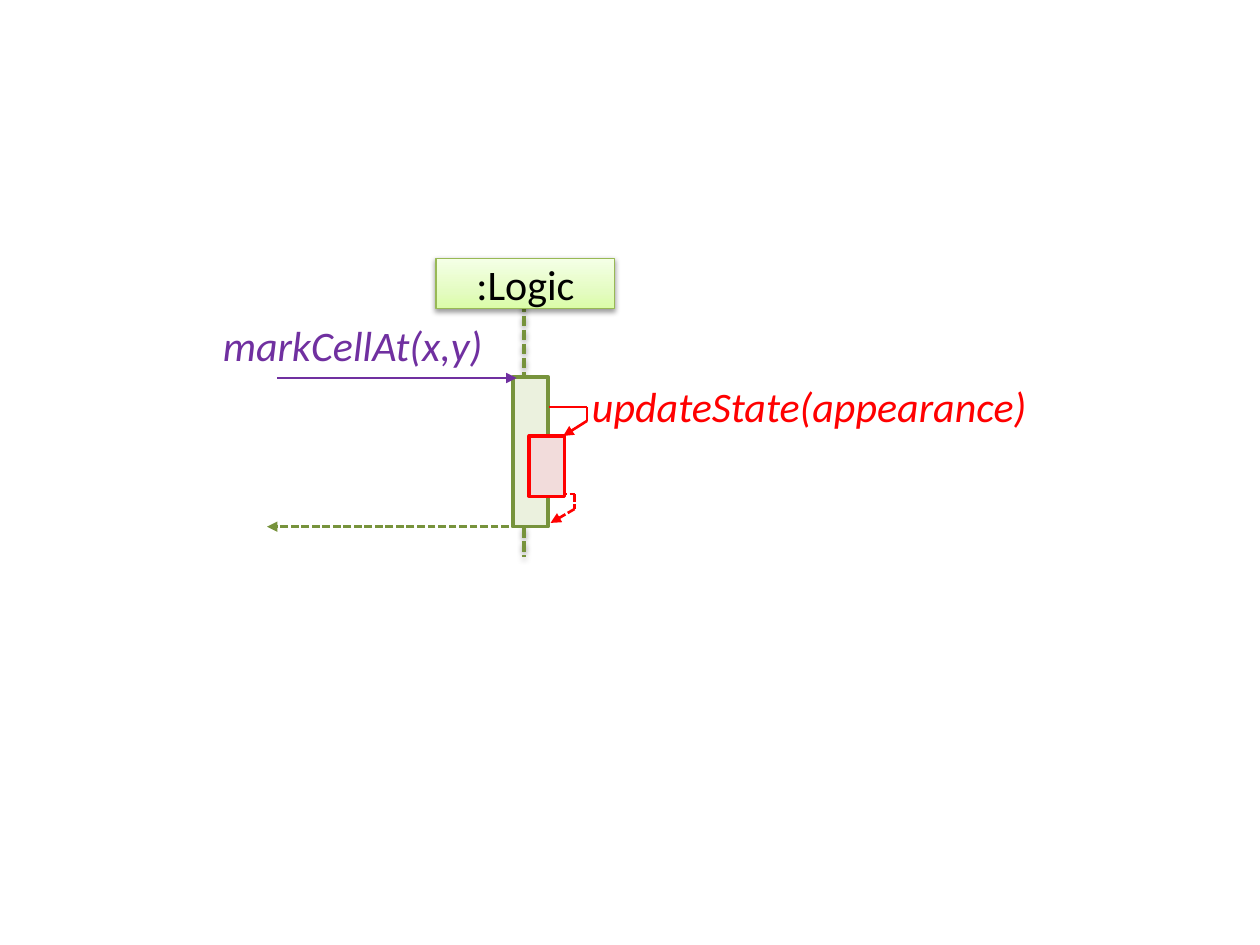
import pptx
import pptx.dml.color
import pptx.enum.dml
import pptx.enum.shapes
import pptx.enum.text
import pptx.oxml
import pptx.oxml.ns
import pptx.util
from pptx.util import Inches

THEME = {
    "font": "Calibri", "size": 24, "thin": 0.75, "line": 1.5, "thick": 2,
    "black": "000000", "green": "77933C", "pale green": "EBF1DE",
    "purple": "7030A0", "red": "FF0000", "pale red": "F2DCDB",
    "head edge": "98B955",
    "head gradient": [(0, "DAFDA7"), (35, "E4FCC2"), (100, "F5FFE7")],
}

# Content: places are left, top, width, height; paths are points in inches
HEAD = (":Logic", (3.46, 2.05, 1.42, 0.4))
LIFELINE = [(4.16, 2.17), (4.16, 4.42)]
RETURN = [(4.04, 4.18), (2.12, 4.18)]
CALL = [(2.2, 3), (4.1, 3)]
ACTIVATION = (4.07, 2.99, 0.28, 1.19)
NESTED_ACTIVATION = (4.2, 3.46, 0.28, 0.48)
CALL_LABEL = ("markCellAt(x,y)", (1.67, 2.49, 2.32, 0.5), "purple")
SELF_CALL_LABEL = ("updateState(appearance)", (4.6, 2.97, 4.13, 0.5), "red")
SELF_CALL = [(4.36, 3.23), (4.66, 3.23), (4.66, 3.34), (4.47, 3.46)]
SELF_RETURN = [(4.27, 3.92), (4.56, 3.92), (4.56, 4.04), (4.37, 4.15)]


def color(name):
    return pptx.dml.color.RGBColor.from_string(THEME[name])


def add_xml(parent, body):
    element = pptx.oxml.parse_xml(body.replace(
        ">", f" {pptx.oxml.ns.nsdecls('a')}>", 1) if "/>" not in body.split(">")[0] + ">"
        else body.replace("/>", f" {pptx.oxml.ns.nsdecls('a')}/>", 1))
    parent.append(element)
    return element


def set_effects(shape, shadow):
    """Give the shape a soft shadow below it, or none."""
    properties = shape._element.spPr
    for old in properties.findall(pptx.oxml.ns.qn("a:effectLst")):
        properties.remove(old)
    effects = add_xml(properties, "<a:effectLst/>")
    if shadow:
        add_xml(effects, '<a:outerShdw blurRad="39370" dist="20320" dir="5400000" '
                'rotWithShape="0"><a:srgbClr val="000000"><a:alpha val="38000"/>'
                '</a:srgbClr></a:outerShdw>')


def add_line(shapes, start, end, tint, width="line", dashed=False, arrow=False, shadow=False):
    line = shapes.add_connector(pptx.enum.shapes.MSO_CONNECTOR.STRAIGHT,
                                *(Inches(value) for value in (*start, *end)))
    line.line.color.rgb = color(tint)
    line.line.width = pptx.util.Pt(THEME[width])
    if dashed:
        # SQUARE_DOT is the enum name for the sysDash-like family; set it exactly
        add_xml(line.line._get_or_add_ln(), '<a:prstDash val="sysDash"/>')
    if arrow:
        add_xml(line.line._get_or_add_ln(), '<a:tailEnd type="triangle"/>')
    set_effects(line, shadow)


def add_loop(page, points, dashed=False):
    """Draw a self message as grouped lines, the last with an arrowhead."""
    group = page.shapes.add_group_shape()
    legs = list(zip(points, points[1:]))
    for leg in legs:
        add_line(group.shapes, *leg, "red", dashed=dashed, arrow=leg == legs[-1])


def add_box(page, place, edge, fill=None, width="thick", shadow=False):
    box = page.shapes.add_shape(pptx.enum.shapes.MSO_SHAPE.RECTANGLE, *map(Inches, place))
    box.shadow.inherit = False
    if fill:
        box.fill.solid()
        box.fill.fore_color.rgb = color(fill)
    box.line.color.rgb = color(edge)
    box.line.width = pptx.util.Pt(THEME[width])
    set_effects(box, shadow)
    return box


def write(shape, text, tint, italic=False):
    shape.text_frame.text = text
    span = shape.text_frame.paragraphs[0].runs[0]
    span.font.name = THEME["font"]
    span.font.size = pptx.util.Pt(THEME["size"])
    span.font.color.rgb = color(tint)
    span.font.italic = italic


def add_label(page, text, place, tint):
    label = page.shapes.add_textbox(*map(Inches, place))
    label.text_frame.word_wrap = True
    label.text_frame.auto_size = pptx.enum.text.MSO_AUTO_SIZE.SHAPE_TO_FIT_TEXT
    write(label, text, tint, italic=True)


def add_head(page, text, place):
    head = add_box(page, place, "head edge", width="thin", shadow=True)
    stops = "".join(f'<a:gs pos="{at * 1000}"><a:srgbClr val="{value}"/></a:gs>'
                    for at, value in THEME["head gradient"])
    gradient = add_xml(head._element.spPr, '<a:gradFill rotWithShape="1"><a:gsLst>' + stops +
                       '</a:gsLst><a:lin ang="16200000" scaled="0"/></a:gradFill>')
    head._element.spPr.find(pptx.oxml.ns.qn("a:prstGeom")).addnext(gradient)
    frame = head.text_frame
    frame.margin_left = frame.margin_right = frame.margin_top = frame.margin_bottom = 0
    frame.vertical_anchor = pptx.enum.text.MSO_ANCHOR.MIDDLE
    write(head, text, "black")
    frame.paragraphs[0].alignment = pptx.enum.text.PP_ALIGN.CENTER


def main():
    deck = pptx.Presentation()
    deck.slide_width, deck.slide_height = Inches(10), Inches(7.5)
    page = deck.slides.add_slide(deck.slide_layouts[6])

    # Lifeline, return arrow and main activation
    add_line(page.shapes, *LIFELINE, "green", width="thick", dashed=True, shadow=True)
    add_line(page.shapes, *RETURN, "green", dashed=True, arrow=True)
    add_box(page, ACTIVATION, "green", "pale green")

    # Incoming call
    add_label(page, *CALL_LABEL)
    add_line(page.shapes, *CALL, "purple", arrow=True)

    # Self call and its return
    add_loop(page, SELF_CALL)
    add_label(page, *SELF_CALL_LABEL)
    add_loop(page, SELF_RETURN, dashed=True)
    add_box(page, NESTED_ACTIVATION, "red", "pale red")

    # Object head
    add_head(page, *HEAD)
    deck.save("out.pptx")


if __name__ == "__main__":
    main()
